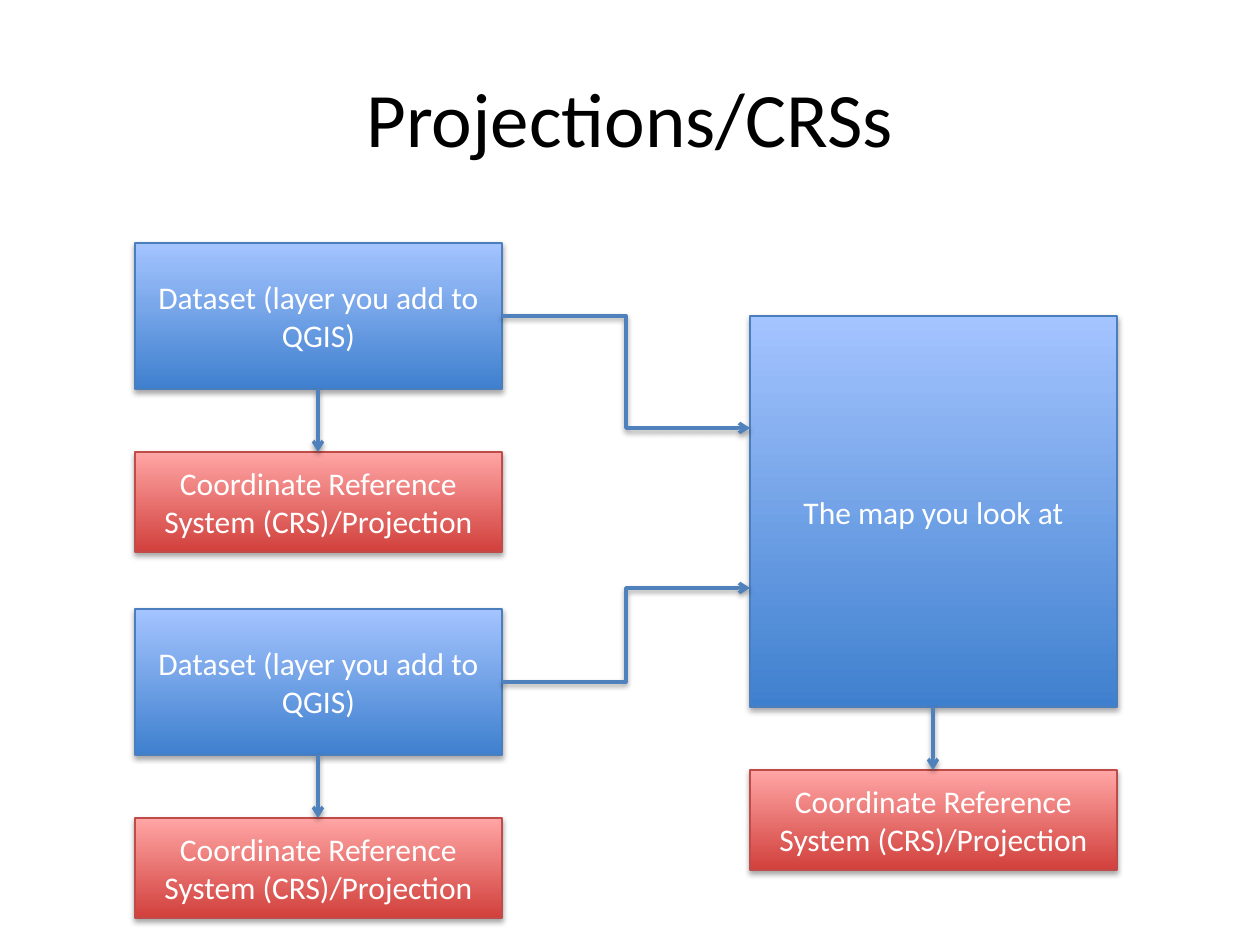
from pptx import Presentation
from pptx.dml.color import RGBColor
from pptx.enum.shapes import MSO_CONNECTOR, MSO_SHAPE
from pptx.enum.text import MSO_ANCHOR, PP_ALIGN
from pptx.oxml import parse_xml
from pptx.oxml.ns import nsdecls, qn
from pptx.util import Pt

PX = 914400 // 126  # EMU per px

BLACK = RGBColor(0x00, 0x00, 0x00)
WHITE = RGBColor(0xFF, 0xFF, 0xFF)
ARROW = RGBColor(0x4F, 0x81, 0xBD)
# bottom colour, top colour, outline
BLUE = (RGBColor(0x3F, 0x80, 0xCE), RGBColor(0xA4, 0xC4, 0xFF), RGBColor(0x4B, 0x7E, 0xBC))
RED = (RGBColor(0xD1, 0x40, 0x3C), RGBColor(0xFF, 0xA6, 0xA5), RGBColor(0xBF, 0x4C, 0x48))

DATASET = "Dataset (layer you add to QGIS)"
MAP = "The map you look at"
CRS = "Coordinate Reference System (CRS)/Projection"

BOX_W, DATASET_H, CRS_H, GAP = 367, 146, 100, 63
LEFT_X, RIGHT_X = 135, 750
MAP_Y, MAP_H = 316, 391


def emu(*lengths):
    return [n * PX for n in lengths]


def add_shadow(s, distance, alpha):
    sp_pr = s._element.spPr
    for old in sp_pr.findall(qn("a:effectLst")):
        sp_pr.remove(old)
    sp_pr.append(parse_xml(
        f'<a:effectLst {nsdecls("a")}>'
        f'<a:outerShdw blurRad="40000" dist="{distance}" dir="5400000" rotWithShape="0">'
        f'<a:srgbClr val="000000"><a:alpha val="{alpha}"/></a:srgbClr>'
        '</a:outerShdw></a:effectLst>'))


def set_text(s, text, size, color):
    tf = s.text_frame
    tf.word_wrap = True
    tf.vertical_anchor = MSO_ANCHOR.MIDDLE
    p = tf.paragraphs[0]
    p.alignment = PP_ALIGN.CENTER
    r = p.add_run()
    r.text = text
    for name, value in {"name": "Calibri", "size": Pt(size)}.items():
        setattr(r.font, name, value)
    r.font.color.rgb = color


def add_title(slide, text):
    set_text(slide.shapes.add_textbox(*emu(63, 38, 1134, 157)), text, 44, BLACK)


def add_box(slide, x, y, h, text, colors):
    s = slide.shapes.add_shape(MSO_SHAPE.RECTANGLE, *emu(x, y, BOX_W, h))
    bottom, top, outline = colors
    s.fill.gradient()
    s.fill.gradient_angle = 90
    for stop, color in zip(s.fill.gradient_stops, (bottom, top)):
        stop.color.rgb = color
    s.line.color.rgb = outline
    s.line.width = Pt(0.75)
    add_shadow(s, 23000, 35000)
    set_text(s, text, 18, WHITE)


def add_arrow(slide, kind, *ends):
    s = slide.shapes.add_connector(kind, *emu(*ends))
    s.line.color.rgb = ARROW
    s.line.width = Pt(2)
    ln = s._element.spPr.find(qn("a:ln"))
    ln.append(parse_xml(f'<a:tailEnd {nsdecls("a")} type="arrow"/>'))
    add_shadow(s, 20000, 38000)


def add_box_with_crs(slide, x, y, h, text):
    """A blue box with an arrow down to its coordinate system."""
    bottom, middle = y + h, x + BOX_W // 2
    add_box(slide, x, y, h, text, BLUE)
    add_box(slide, x, bottom + GAP, CRS_H, CRS, RED)
    add_arrow(slide, MSO_CONNECTOR.STRAIGHT, middle, bottom, middle, bottom + GAP)


def main():
    prs = Presentation()
    prs.slide_width, prs.slide_height = emu(1260, 945)
    slide = prs.slides.add_slide(prs.slide_layouts[6])
    add_title(slide, "Projections/CRSs")

    # Map on the right
    add_box_with_crs(slide, RIGHT_X, MAP_Y, MAP_H, MAP)

    # Datasets on the left, each feeding the map
    for y, map_entry_y in ((243, 428), (609, 588)):
        add_box_with_crs(slide, LEFT_X, y, DATASET_H, DATASET)
        add_arrow(slide, MSO_CONNECTOR.ELBOW, LEFT_X + BOX_W, y + DATASET_H // 2,
                  RIGHT_X, map_entry_y)

    prs.save("out.pptx")


if __name__ == "__main__":
    main()
